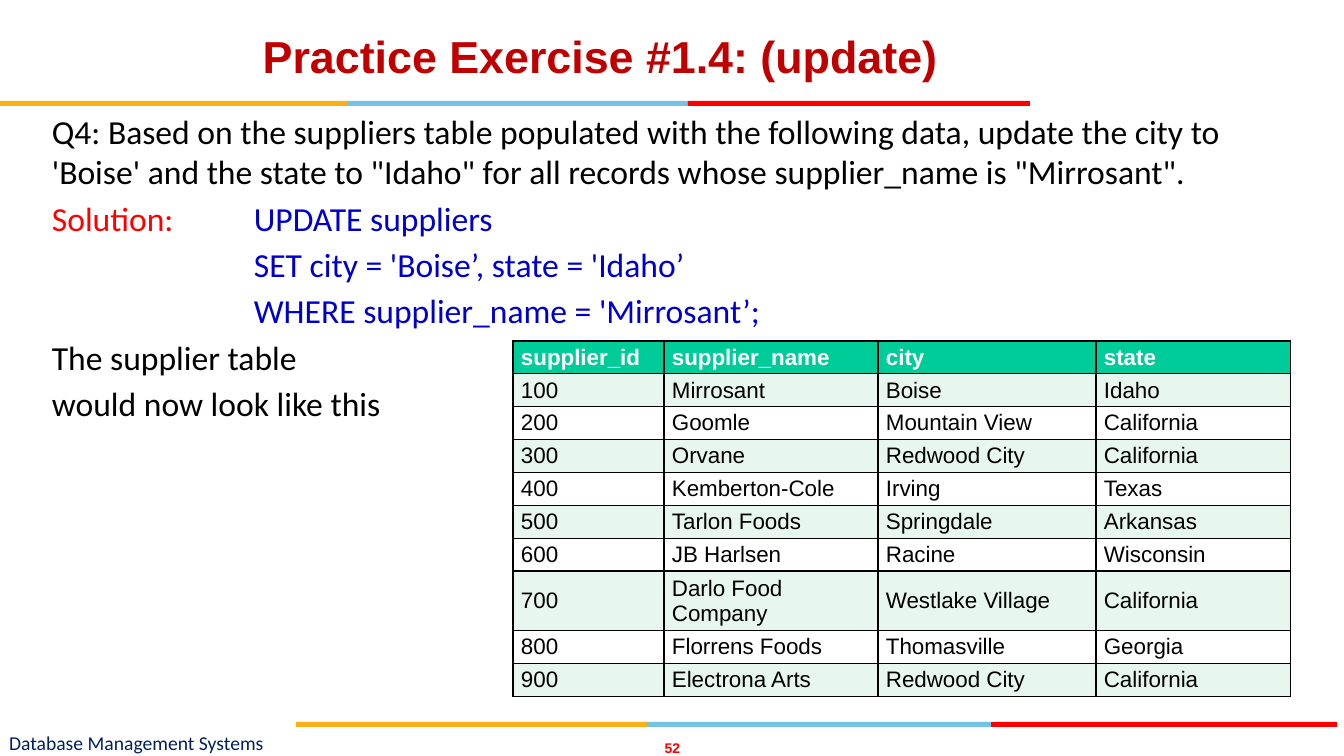
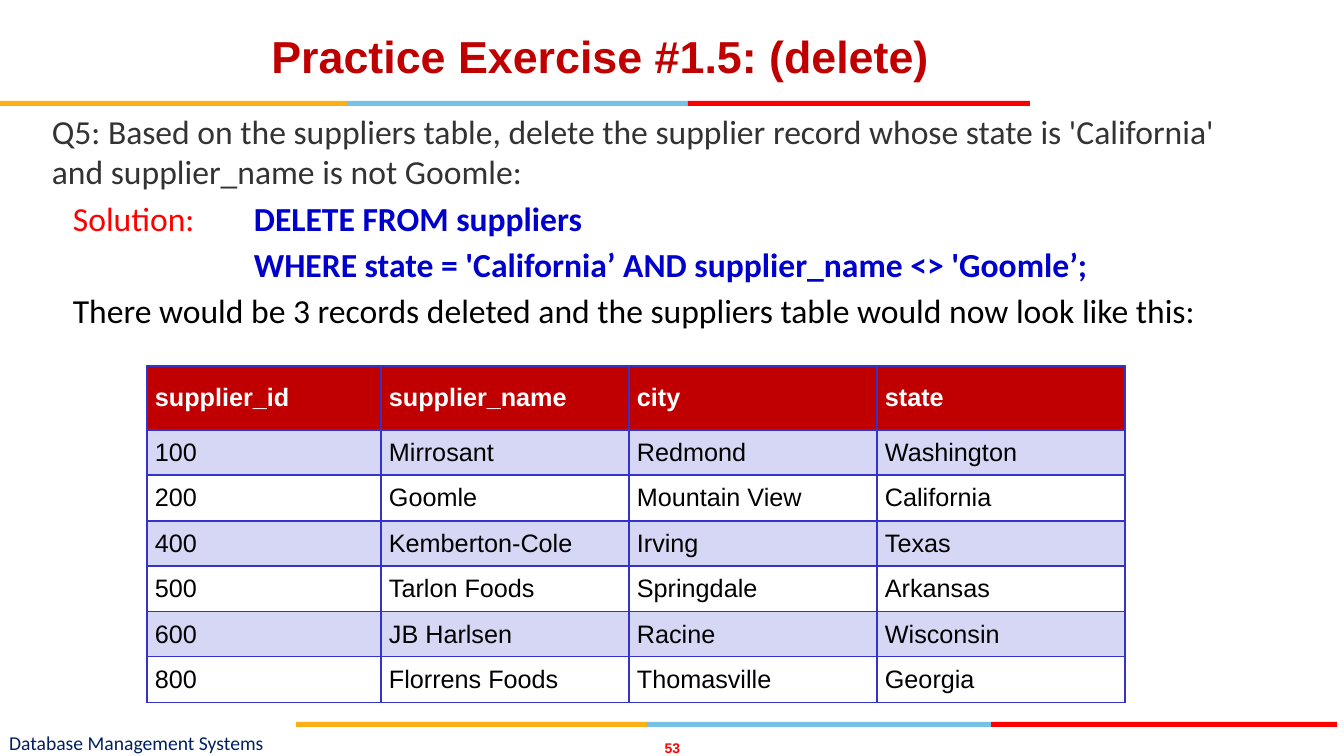
from lxml.etree import SubElement
from pptx import Presentation
from pptx.dml.color import RGBColor
from pptx.enum.shapes import MSO_SHAPE
from pptx.enum.text import MSO_ANCHOR, PP_ALIGN
from pptx.oxml.ns import qn
from pptx.util import Inches, Pt

PX = Inches(7.5) / 756

YELLOW = RGBColor(0xFC, 0xB0, 0x17)
SKY = RGBColor(0x76, 0xC2, 0xE5)
RED = RGBColor(0xFF, 0x00, 0x00)
DARK_RED = RGBColor(0xC0, 0x00, 0x00)
NAVY = RGBColor(0x00, 0x20, 0x60)
CODE_BLUE = RGBColor(0x00, 0x00, 0xCC)
GRID_BLUE = RGBColor(0x33, 0x33, 0xCC)
PALE_BLUE = RGBColor(0xD6, 0xD6, 0xF5)
GREEN = RGBColor(0x00, 0xCC, 0x99)
PALE_GREEN = RGBColor(0xE7, 0xF6, 0xEF)
GRAY = RGBColor(0x33, 0x33, 0x33)
BLACK = RGBColor(0x00, 0x00, 0x00)
WHITE = RGBColor(0xFF, 0xFF, 0xFF)

# Left, top, width and colour of the bands above and below the content
BANDS = [
    (0, 101, 347, YELLOW), (347, 101, 341, SKY), (688, 101, 342, RED),
    (296, 722, 351, YELLOW), (647, 722, 344, SKY), (991, 722, 346, RED),
]
CODE_LEFT = 202
HEADINGS = ["supplier_id", "supplier_name", "city", "state"]

# Body lines are (left margin, first-line indent, [(text, colour, bold), ...])
EXERCISES = [
    {
        "number": "52",
        "title": "Practice Exercise #1.4: (update)",
        "lines": [
            (0, 0, [("Q4: Based on the suppliers table populated with the following data, "
                     "update the city to 'Boise' and the state to \"Idaho\" for all records "
                     "whose supplier_name is \"Mirrosant\".", BLACK, False)]),
            (CODE_LEFT, -CODE_LEFT, [("Solution:\t", RED, False),
                                     ("UPDATE suppliers", CODE_BLUE, False)]),
            (CODE_LEFT, 0, [("SET city = 'Boise’, state = 'Idaho’", CODE_BLUE, False)]),
            (CODE_LEFT, 0, [("WHERE supplier_name = 'Mirrosant’;", CODE_BLUE, False)]),
            (0, 0, [("The supplier table", BLACK, False)]),
            (0, 0, [("would now look like this", BLACK, False)]),
        ],
        "place": (513, 341),
        "columns": [151, 214, 218, 195],
        "heights": [31] * 7 + [56] + [31] * 2,
        "size": 16,
        "colours": (GREEN, PALE_GREEN, BLACK),
        "header_rule": 1,
        "suppliers": [
            ("100", "Mirrosant", "Boise", "Idaho"),
            ("200", "Goomle", "Mountain View", "California"),
            ("300", "Orvane", "Redwood City", "California"),
            ("400", "Kemberton-Cole", "Irving", "Texas"),
            ("500", "Tarlon Foods", "Springdale", "Arkansas"),
            ("600", "JB Harlsen", "Racine", "Wisconsin"),
            ("700", "Darlo Food Company", "Westlake Village", "California"),
            ("800", "Florrens Foods", "Thomasville", "Georgia"),
            ("900", "Electrona Arts", "Redwood City", "California"),
        ],
    },
    {
        "number": "53",
        "title": "Practice Exercise #1.5: (delete)",
        "lines": [
            (0, 0, [("Q5: Based on the suppliers table, delete the supplier record whose "
                     "state is 'California' and supplier_name is not Goomle:", GRAY, False)]),
            (CODE_LEFT, 21 - CODE_LEFT, [("Solution:\t", RED, False),
                                         ("DELETE FROM suppliers", CODE_BLUE, True)]),
            (CODE_LEFT, 0, [("WHERE state = 'California’ AND supplier_name <> 'Goomle’;",
                             CODE_BLUE, True)]),
            (0, 21, [("There would be 3 records deleted and the suppliers table would now "
                      "look like this:", BLACK, False)]),
        ],
        "place": (147, 366),
        "columns": [234, 248, 248, 248],
        "heights": [64] + [45, 46] * 3,
        "size": 18,
        "colours": (DARK_RED, PALE_BLUE, GRID_BLUE),
        "header_rule": 2,
        "suppliers": [
            ("100", "Mirrosant", "Redmond", "Washington"),
            ("200", "Goomle", "Mountain View", "California"),
            ("400", "Kemberton-Cole", "Irving", "Texas"),
            ("500", "Tarlon Foods", "Springdale", "Arkansas"),
            ("600", "JB Harlsen", "Racine", "Wisconsin"),
            ("800", "Florrens Foods", "Thomasville", "Georgia"),
        ],
    },
]


def px(*lengths):
    return [round(length * PX) for length in lengths]


def add_label(page, place, text, size, font, colour, bold, align):
    box = page.shapes.add_textbox(*px(*place))
    frame = box.text_frame
    frame.word_wrap = True
    frame.vertical_anchor = MSO_ANCHOR.MIDDLE
    frame.margin_left = frame.margin_right = frame.margin_top = frame.margin_bottom = 0
    para = frame.paragraphs[0]
    para.text = text
    para.alignment = align
    para.font.size = Pt(size)
    para.font.name = font
    para.font.bold = bold
    para.font.color.rgb = colour


deck = Presentation()
deck.slide_width, deck.slide_height = px(1344, 756)

for exercise in EXERCISES:
    page = deck.slides.add_slide(deck.slide_layouts[6])

    # Bands, footer and title
    for left, top, width, colour in BANDS:
        band = page.shapes.add_shape(MSO_SHAPE.RECTANGLE, *px(left, top, width, 5))
        band.shadow.inherit = False
        band.fill.solid()
        band.fill.fore_color.rgb = colour
        band.line.fill.background()
    add_label(page, (656, 739, 33, 17), exercise["number"], 10, "Arial", RED, True,
              PP_ALIGN.CENTER)
    add_label(page, (9, 729, 500, 27), "Database Management Systems", 14, "Calibri", NAVY,
              False, PP_ALIGN.LEFT)
    add_label(page, (21, 21, 1159, 69), exercise["title"], 32, "Arial", DARK_RED, True,
              PP_ALIGN.CENTER)

    # Question and solution
    body = page.shapes.add_textbox(*px(42, 106, 1220, 595)).text_frame
    body.word_wrap = True
    for index, (margin, indent, spans) in enumerate(exercise["lines"]):
        para = body.add_paragraph() if index else body.paragraphs[0]
        para.space_before = Pt(4.3 if index else 0)
        para.font.size = Pt(24)
        para.font.name = "Calibri"
        properties = para._p.get_or_add_pPr()
        for name, length in zip(("marL", "indent"), px(margin, indent)):
            properties.set(name, str(length))
        for text, colour, bold in spans:
            span = para.add_run()
            span.text = text
            span.font.bold = bold
            span.font.color.rgb = colour

    # Supplier table
    rows = [HEADINGS] + exercise["suppliers"]
    columns, heights = exercise["columns"], exercise["heights"]
    header_fill, band_fill, grid_colour = exercise["colours"]
    table = page.shapes.add_table(
        len(rows), len(columns),
        *px(*exercise["place"], sum(columns), sum(heights))).table
    table.horz_banding = False
    for column, width in zip(table.columns, px(*columns)):
        column.width = width
    for row_index, (row, height) in enumerate(zip(table.rows, px(*heights))):
        row.height = height
        is_header = row_index == 0
        fill = header_fill if is_header else band_fill if row_index % 2 else WHITE
        for cell, text in zip(row.cells, rows[row_index]):
            cell.vertical_anchor = MSO_ANCHOR.MIDDLE
            cell.margin_left, cell.margin_right, cell.margin_top, cell.margin_bottom = px(
                8, 8, 3, 3)
            for side in ("lnL", "lnR", "lnT", "lnB"):
                under_header = (row_index, side) in ((0, "lnB"), (1, "lnT"))
                weight = Pt(exercise["header_rule"] if under_header else 1)
                edge = SubElement(cell._tc.get_or_add_tcPr(), qn("a:" + side), w=str(weight))
                paint = SubElement(edge, qn("a:solidFill"))
                SubElement(paint, qn("a:srgbClr"), val=str(grid_colour))
            cell.fill.solid()
            cell.fill.fore_color.rgb = fill
            para = cell.text_frame.paragraphs[0]
            para.text = text
            para.font.size = Pt(exercise["size"])
            para.font.name = "Arial"
            para.font.bold = is_header
            para.font.color.rgb = WHITE if is_header else BLACK

deck.save("out.pptx")
